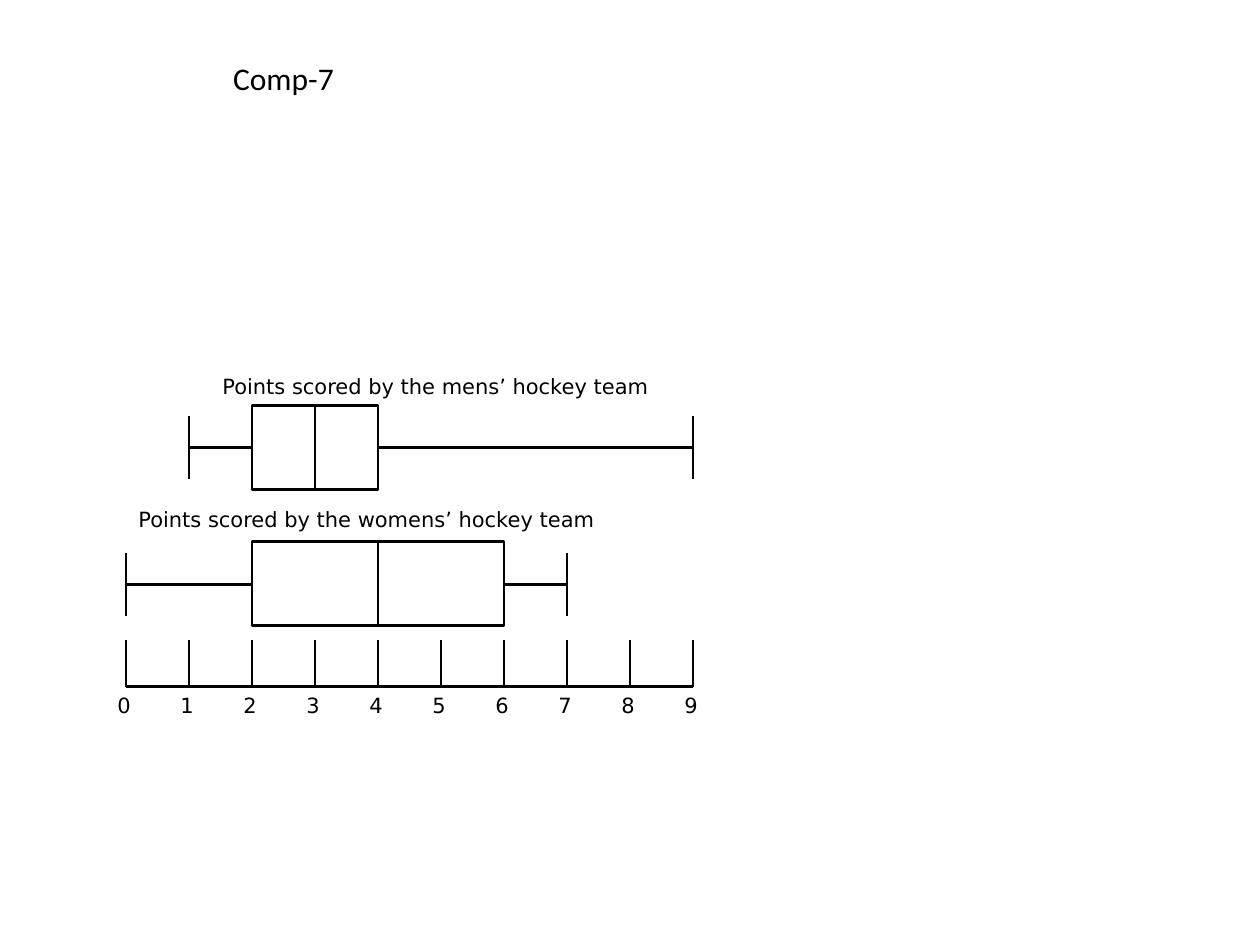
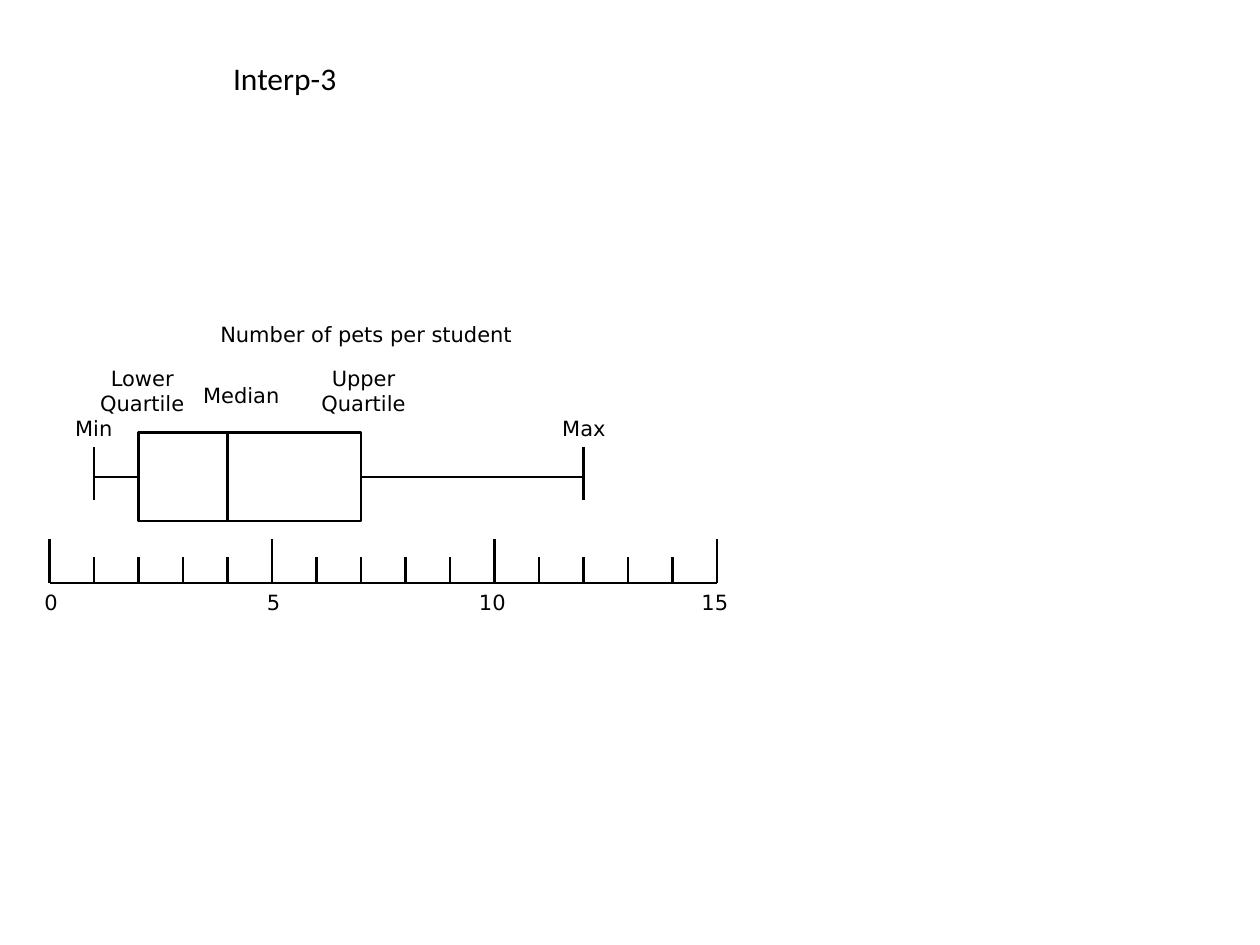
from pptx import Presentation
from pptx.dml.color import RGBColor
from pptx.enum.shapes import MSO_CONNECTOR, MSO_SHAPE
from pptx.enum.text import MSO_ANCHOR, MSO_AUTO_SIZE, PP_ALIGN
from pptx.oxml.ns import qn
from pptx.util import Pt

STRAIGHT = MSO_CONNECTOR.STRAIGHT
RECTANGLE = MSO_SHAPE.RECTANGLE
TOP = MSO_ANCHOR.TOP
GROW = MSO_AUTO_SIZE.SHAPE_TO_FIT_TEXT
LEFT, CENTER = PP_ALIGN.LEFT, PP_ALIGN.CENTER

# Shared style, all lengths in points
color = RGBColor.from_string
INK, PAPER = "000000", "FFFFFF"
STROKE = Pt(1.5)
HEADING_FONT = {"name": "Calibri", "size": Pt(18), "bold": False}
LABEL_FONT = {"name": "DejaVu Sans", "size": Pt(12)}
HEADING_AT = (126, 30, 108, 29)
TITLE_ONLY = 5


def draw_line(slide, x1, y1, x2, y2):
    line = slide.shapes.add_connector(STRAIGHT, Pt(x1), Pt(y1), Pt(x2), Pt(y2))
    line.line.color.rgb = color(INK)
    line.line.width = STROKE
    properties = line._element.spPr
    properties.append(properties.makeelement(qn("a:effectLst"), {}))


def write(holder, words, at, font=LABEL_FONT, align=LEFT):
    for side, length in zip(("left", "top", "width", "height"), at):
        setattr(holder, side, Pt(length))
    frame = holder.text_frame
    frame.text = words
    for key, value in {"word_wrap": True, "auto_size": GROW,
                       "vertical_anchor": TOP}.items():
        setattr(frame, key, value)
    paragraph = frame.paragraphs[0]
    paragraph.alignment = align
    for key, value in font.items():
        setattr(paragraph.runs[0].font, key, value)
    paragraph.runs[0].font.color.rgb = color(INK)


# Axis: zero and step are horizontal, base is the height of the number line.
# Plot: five numbers, box (top, height), whisker (top, height), middle line.
# Labels: words, place, alignment.
pages = [
    {
        "heading": "Comp-7",
        "zero": 72, "step": 36, "last": 9, "base": 392.4,
        "major": 1, "major_height": 26.6, "minor_height": 26.6,
        "number_widths": {1: 24},
        "plots": [
            ((1, 2, 3, 4, 9), (231.8, 48), (237.6, 36), 255.6),
            ((0, 2, 4, 6, 7), (309.6, 48), (316, 36), 334),
        ],
        "labels": [
            ("Points scored by the mens’ hockey team", (120, 210, 264, 22), LEFT),
            ("Points scored by the womens’ hockey team", (72, 286, 276, 22), LEFT),
        ],
    },
    {
        "heading": "Interp-3",
        "zero": 28.3, "step": 25.43, "last": 15, "base": 333.2,
        "major": 5, "major_height": 25.2, "minor_height": 15,
        "number_widths": {1: 20, 2: 32},
        "plots": [((1, 2, 4, 7, 12), (247.2, 50.6), (255.6, 30), 272.6)],
        "labels": [
            ("Number of pets per student", (118.8, 180, 187, 22), LEFT),
            ("Min", (33.1, 234, 41, 19), CENTER),
            ("Lower Quartile", (48.2, 205.2, 66.2, 36), CENTER),
            ("Median", (107.3, 215.3, 61.2, 19), CENTER),
            ("Upper Quartile", (175.7, 205.2, 64.1, 36), CENTER),
            ("Max", (313.2, 234, 41, 19), CENTER),
        ],
    },
]

deck = Presentation()
deck.slide_width, deck.slide_height = Pt(720), Pt(540)

for page in pages:
    slide = deck.slides.add_slide(deck.slide_layouts[TITLE_ONLY])
    write(slide.shapes.title, page["heading"], HEADING_AT, HEADING_FONT)
    ticks = [page["zero"] + page["step"] * n for n in range(page["last"] + 1)]
    base = page["base"]

    # Box plots
    for numbers, (box_top, box_height), (cap_top, cap_height), middle in page["plots"]:
        low, lower, median, upper, high = (ticks[n] for n in numbers)
        for end in (low, high):
            draw_line(slide, end, cap_top, end, cap_top + cap_height)
        draw_line(slide, low, middle, high, middle)
        box = slide.shapes.add_shape(RECTANGLE, Pt(lower), Pt(box_top),
                                     Pt(upper - lower), Pt(box_height))
        box.shadow.inherit = False
        box.fill.solid()
        box.fill.fore_color.rgb = color(PAPER)
        box.line.color.rgb = color(INK)
        box.line.width = STROKE
        draw_line(slide, median, box_top, median, box_top + box_height)

    # Captions
    for words, at, align in page["labels"]:
        write(slide.shapes.add_textbox(0, 0, 0, 0), words, at, align=align)

    # Number line
    draw_line(slide, ticks[0], base, ticks[-1], base)
    for number, x in enumerate(ticks):
        is_major = number % page["major"] == 0
        height = page["major_height"] if is_major else page["minor_height"]
        draw_line(slide, x, base, x, base - height)
        if is_major:
            width = page["number_widths"][len(str(number))]
            write(slide.shapes.add_textbox(0, 0, 0, 0), str(number),
                  (x - width / 2, base, width, 22))

deck.save("out.pptx")
